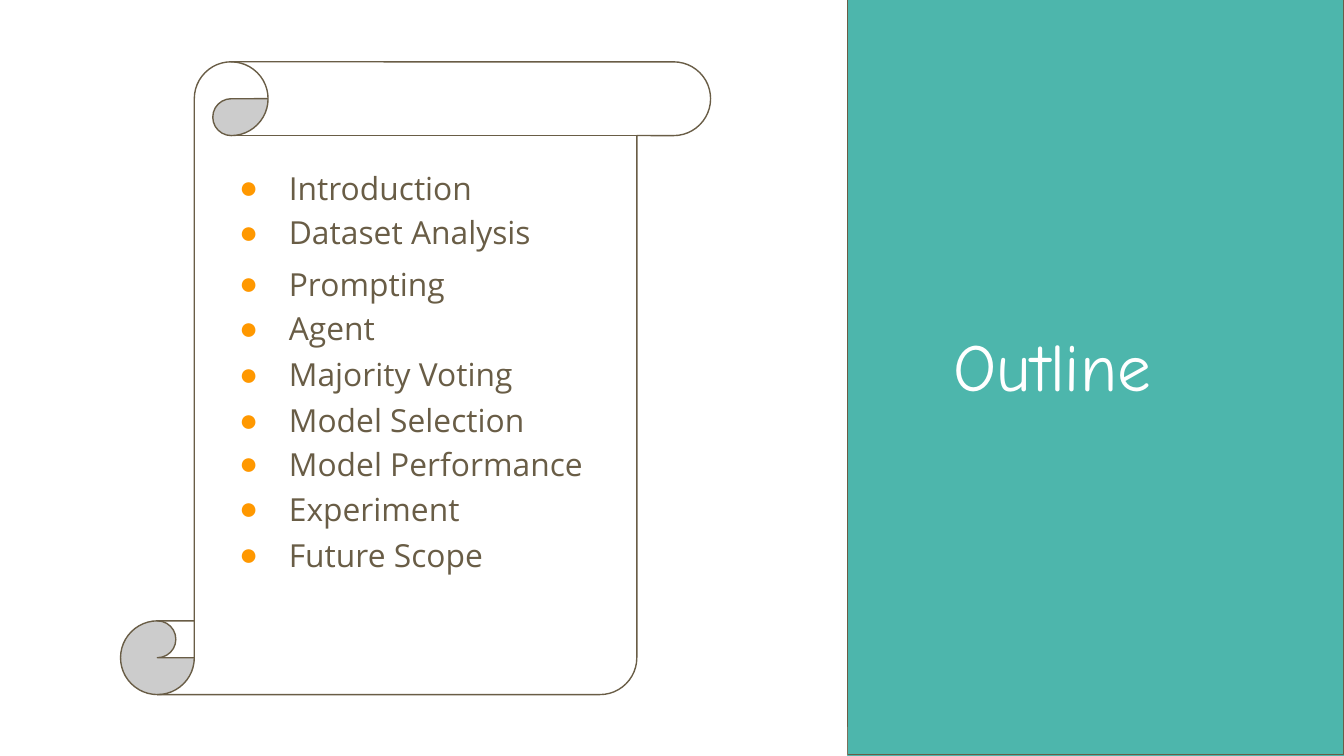
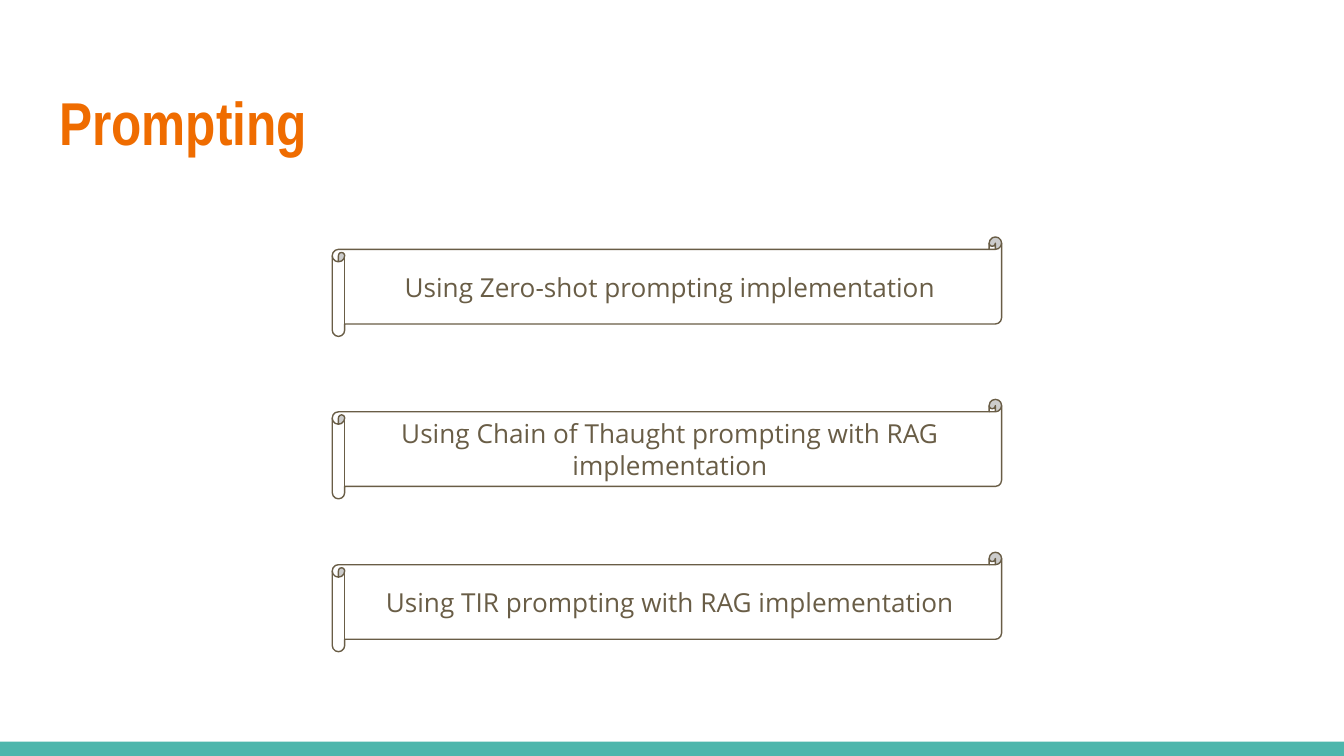
from lxml import etree
from pptx import Presentation
from pptx import util as u
from pptx.dml.color import RGBColor
from pptx.enum import shapes, text
from pptx.oxml import ns

TEAL = RGBColor(0x4D, 0xB6, 0xAC)
BROWN = RGBColor(0x69, 0x5D, 0x46)
ORANGE = RGBColor(0xEF, 0x6C, 0x00)
AMBER = RGBColor(0xFF, 0x98, 0x00)
WHITE = RGBColor(0xFF, 0xFF, 0xFF)
BODY_FONT = "Open Sans"
FOOTER_BOX = (0, 14.02, 25.4, 0.27)


def add_block(slide, kind, box, fill, outlined=True):
    shape = slide.shapes.add_shape(kind, *map(u.Cm, box))
    shape.shadow.inherit = False
    shape.fill.solid()
    shape.fill.fore_color.rgb = fill
    if outlined:
        shape.line.color.rgb = BROWN
        shape.line.width = u.Pt(0.75)
    else:
        shape.line.fill.background()
    return shape


def write(shape, wording, font, size, color, align=text.PP_ALIGN.LEFT,
          anchor=text.MSO_ANCHOR.TOP, bold=False):
    frame = shape.text_frame
    frame.text = wording
    frame.word_wrap = True
    frame.auto_size = text.MSO_AUTO_SIZE.NONE
    frame.vertical_anchor = anchor
    frame.margin_left = frame.margin_right = u.Cm(0.25)
    frame.margin_top = frame.margin_bottom = u.Cm(0.25)
    paragraph = frame.paragraphs[0]
    paragraph.alignment = align
    paragraph.font.name = font
    paragraph.font.size = u.Pt(size)
    paragraph.font.bold = bold
    paragraph.font.color.rgb = color
    return paragraph


presentation = Presentation()
presentation.slide_width = u.Cm(25.4)
presentation.slide_height = u.Cm(14.29)
title_only = presentation.slide_layouts[5]
outline_slide, prompting_slide = [presentation.slides.add_slide(title_only) for _ in range(2)]
for slide in presentation.slides:
    add_block(slide, shapes.MSO_SHAPE.RECTANGLE, FOOTER_BOX, TEAL, outlined=False)

scroll = add_block(outline_slide, shapes.MSO_SHAPE.VERTICAL_SCROLL,
                   (2.28, 1.17, 11.15, 11.96), WHITE)
scroll.adjustments[0] = 0.125

topics = [(2.94, "Introduction"), (3.78, "Dataset Analysis"), (4.64, "Prompting"),
          (5.59, "Agent"), (6.46, "Majority Voting"), (7.33, "Model Selection"),
          (8.16, "Model Performance"), (9.01, "Experiment"), (9.88, "Future Scope")]
for top, topic in topics:
    entry = outline_slide.shapes.add_textbox(u.Cm(3.94), u.Cm(top), u.Cm(8.43), u.Cm(1.24))
    paragraph = write(entry, topic, BODY_FONT, 17, BROWN)
    entry.text_frame.auto_size = text.MSO_AUTO_SIZE.SHAPE_TO_FIT_TEXT
    if topic == "Prompting":
        paragraph.line_spacing = 1.15
    properties = entry.element.find(".//" + ns.qn("a:pPr"))
    properties.set("marL", str(u.Cm(1.27)))
    properties.set("indent", str(u.Cm(-0.94)))
    bullet_color = etree.Element(ns.qn("a:buClr"))
    etree.SubElement(bullet_color, ns.qn("a:srgbClr"), val=str(AMBER))
    bullet_font = etree.Element(ns.qn("a:buFont"), typeface="Arial")
    bullet = etree.Element(ns.qn("a:buChar"), char="●")
    defaults = properties.find(ns.qn("a:defRPr"))
    for part in (bullet_color, bullet_font, bullet):
        defaults.addprevious(part)

panel = add_block(outline_slide, shapes.MSO_SHAPE.RECTANGLE, (16.02, -0.02, 9.37, 14.28), TEAL)
add_block(outline_slide, shapes.MSO_SHAPE.RECTANGLE, (-0.3, 13.74, 16.31, 0.61), WHITE,
          outlined=False)
title = outline_slide.shapes.title
title.left, title.top, title.width, title.height = map(u.Cm, (17.77, 5.88, 5.89, 2.54))
write(title, "Outline", "Comic Neue", 36, WHITE)
panel.element.addnext(title.element)

title = prompting_slide.shapes.title
title.left, title.top, title.width, title.height = map(u.Cm, (0.87, 1.35, 23.67, 1.96))
write(title, "Prompting", "Arial Narrow", 32.4, ORANGE, bold=True)

methods = [(4.48, "Using Zero-shot prompting implementation"),
           (7.55, "Using Chain of Thaught prompting with RAG implementation"),
           (10.44, "Using TIR prompting with RAG implementation")]
for top, method in methods:
    scroll = add_block(prompting_slide, shapes.MSO_SHAPE.HORIZONTAL_SCROLL,
                       (6.28, top, 12.65, 1.88), WHITE)
    scroll.adjustments[0] = 0.125
    write(scroll, method, BODY_FONT, 14, BROWN, text.PP_ALIGN.CENTER, text.MSO_ANCHOR.MIDDLE)

presentation.save("out.pptx")
